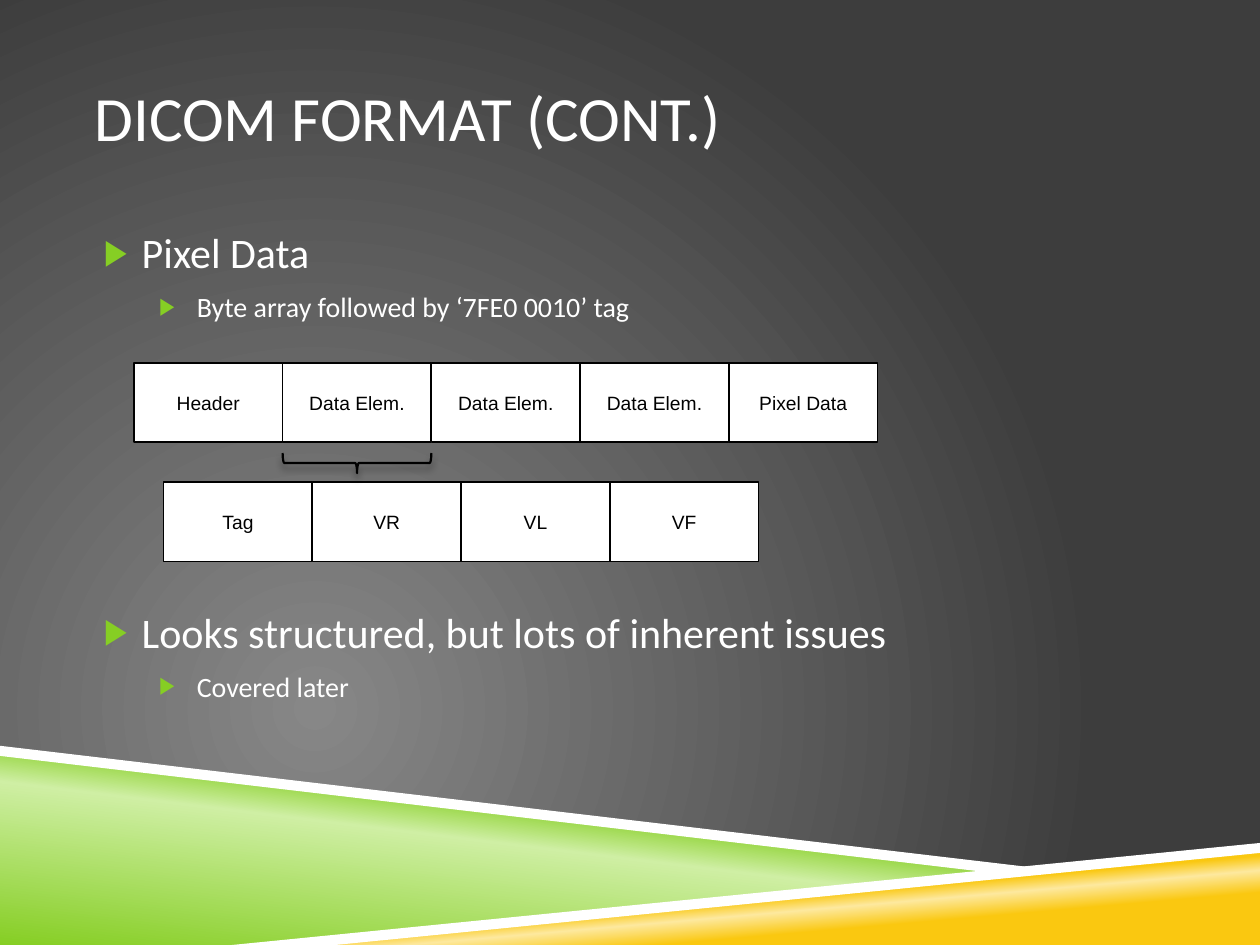
from lxml.etree import SubElement
from pptx import Presentation
from pptx.dml.color import RGBColor
from pptx.enum.shapes import MSO_SHAPE
from pptx.enum.text import MSO_ANCHOR, PP_ALIGN
from pptx.oxml.ns import qn
from pptx.util import Pt

WIDE, HIGH = 720, 540
CELL_W, CELL_H = 85, 45.4
GREEN, WHITE, BLACK = "86CE24", "FFFFFF", "000000"


def color(code):
    return RGBColor.from_string(code)


def node(parent, tag, **attrs):
    return SubElement(parent, qn("a:" + tag), {k: str(v) for k, v in attrs.items()})


def set_grad(fill, host, stops):
    """Fill with (percent, colour) stops; return the element for its direction."""
    fill.gradient()
    grad = next(host.iter(qn("a:gradFill")))
    grad.clear()
    stop_list = node(grad, "gsLst")
    for pos, code in stops:
        node(node(stop_list, "gs", pos=pos * 1000), "srgbClr", val=code)
    return grad


def set_font(para, name, size, code):
    for run in para.runs:
        run.font.name, run.font.size = name, Pt(size)
        run.font.color.rgb = color(code)


def add_back(slide):
    grad = set_grad(slide.background.fill, slide.element, [(0, "878787"), (100, "3D3D3D")])
    node(node(grad, "path", path="circle"), "fillToRect",
         l=50000, t=100000, r=100000, b=50000)


def add_band(slide, points, stops=None, angle=0):
    """Draw a borderless outline, white unless gradient stops are given."""
    spots = [(Pt(x), Pt(y)) for x, y in points]
    form = slide.shapes.build_freeform(*spots[0])
    form.add_line_segments(spots[1:])
    band = form.convert_to_shape()
    band.shadow.inherit = False
    band.line.fill.background()
    if stops:
        node(set_grad(band.fill, band.element, stops), "lin", ang=angle * 60000, scaled=0)
    else:
        band.fill.solid()
        band.fill.fore_color.rgb = color(WHITE)


def add_foot(slide):
    add_band(slide, [(0, 429.8), (570.2, 498.2), (144, HIGH), (0, HIGH)],
             [(0, GREEN), (52, "CFEFA4"), (66, GREEN)], 277)
    add_band(slide, [(142.5, HIGH), (WIDE, 483.8), (WIDE, HIGH)],
             [(28, "FAC810"), (40, "FDE99F"), (48, "FAC810")], 265)
    add_band(slide, [(0, 426.2), (0, 432), (568.8, 499), (599, 496.8)])
    add_band(slide, [(WIDE, 481.7), (132.5, HIGH), (191.5, HIGH), (WIDE, 487.4)])


def add_text(slide, left, top, width, height):
    frame = slide.shapes.add_textbox(Pt(left), Pt(top), Pt(width), Pt(height)).text_frame
    frame.word_wrap = True
    frame.margin_left = frame.margin_right = 0
    return frame


def add_title(slide, box, text):
    frame = add_text(slide, *box)
    frame.vertical_anchor = MSO_ANCHOR.MIDDLE
    frame.text = text
    set_font(frame.paragraphs[0], "Calibri", 36, WHITE)


def add_list(slide, box, items):
    """Write bullets from (level, space before, text) items."""
    frame = add_text(slide, *box)
    frame.text = "\n".join(text for _, _, text in items)
    for para, (level, space, _) in zip(frame.paragraphs, items):
        para.level, para.space_before = level, Pt(space)
        props = para._p.get_or_add_pPr()
        props.set("marL", str(Pt((27, 58.5)[level])))
        props.set("indent", str(Pt(-21.6)))
        node(node(props, "buClr"), "srgbClr", val=GREEN)
        node(props, "buSzPct", val=85000)
        node(props, "buFont", typeface="Arial")
        node(props, "buChar", char="▶")
        set_font(para, "Calibri", (24, 16)[level], WHITE)


def add_row(slide, left, top, labels):
    for i, label in enumerate(labels):
        cell = slide.shapes.add_shape(MSO_SHAPE.RECTANGLE, Pt(left + i * CELL_W), Pt(top),
                                      Pt(CELL_W), Pt(CELL_H))
        cell.shadow.inherit = False
        cell.fill.solid()
        cell.fill.fore_color.rgb = color(WHITE)
        cell.line.color.rgb, cell.line.width = color(BLACK), Pt(1)
        frame = cell.text_frame
        frame.vertical_anchor = MSO_ANCHOR.MIDDLE
        frame.text = label
        frame.paragraphs[0].alignment = PP_ALIGN.CENTER
        set_font(frame.paragraphs[0], "Arial", 11, BLACK)


def add_brace(slide, left, top, width, height):
    """Fit a downward brace, a right brace turned by 90 degrees, into the box."""
    shift = (width - height) / 2
    brace = slide.shapes.add_shape(MSO_SHAPE.RIGHT_BRACE, Pt(left + shift), Pt(top - shift),
                                   Pt(height), Pt(width))
    brace.rotation = 90
    brace.fill.background()
    brace.line.color.rgb, brace.line.width = color(BLACK), Pt(1.25)
    brace.shadow.inherit = False
    effects = brace.element.spPr.find(qn("a:effectLst"))
    shade = node(effects, "outerShdw", blurRad=Pt(4), dist=Pt(3.3), dir=90 * 60000,
                 rotWithShape=0)
    node(node(shade, "srgbClr", val=BLACK), "alpha", val=40000)


def add_layout(slide, left, top):
    """Draw the file's parts, with one data element opened up below."""
    add_row(slide, left, top, ["Header"] + ["Data Elem."] * 3 + ["Pixel Data"])
    add_row(slide, left + CELL_W / 5, top + 1.5 * CELL_H, ["Tag", "VR", "VL", "VF"])
    add_brace(slide, left + CELL_W, top + 51.5, CELL_W, 11.5)


def main():
    deck = Presentation()
    deck.slide_width, deck.slide_height = Pt(WIDE), Pt(HIGH)
    slide = deck.slides.add_slide(deck.slide_layouts[6])
    add_back(slide)
    add_foot(slide)
    add_title(slide, (54, 21.6, 612, 90), "DICOM FORMAT (CONT.)")
    add_list(slide, (54, 126, 612, 294), [
        (0, 7, "Pixel Data"),
        (1, 7, "Byte array followed by ‘7FE0 0010’ tag"),
        (0, 162, "Looks structured, but lots of inherent issues"),
        (1, 7, "Covered later"),
    ])
    add_layout(slide, 76.5, 207.4)
    deck.save("out.pptx")


if __name__ == "__main__":
    main()
